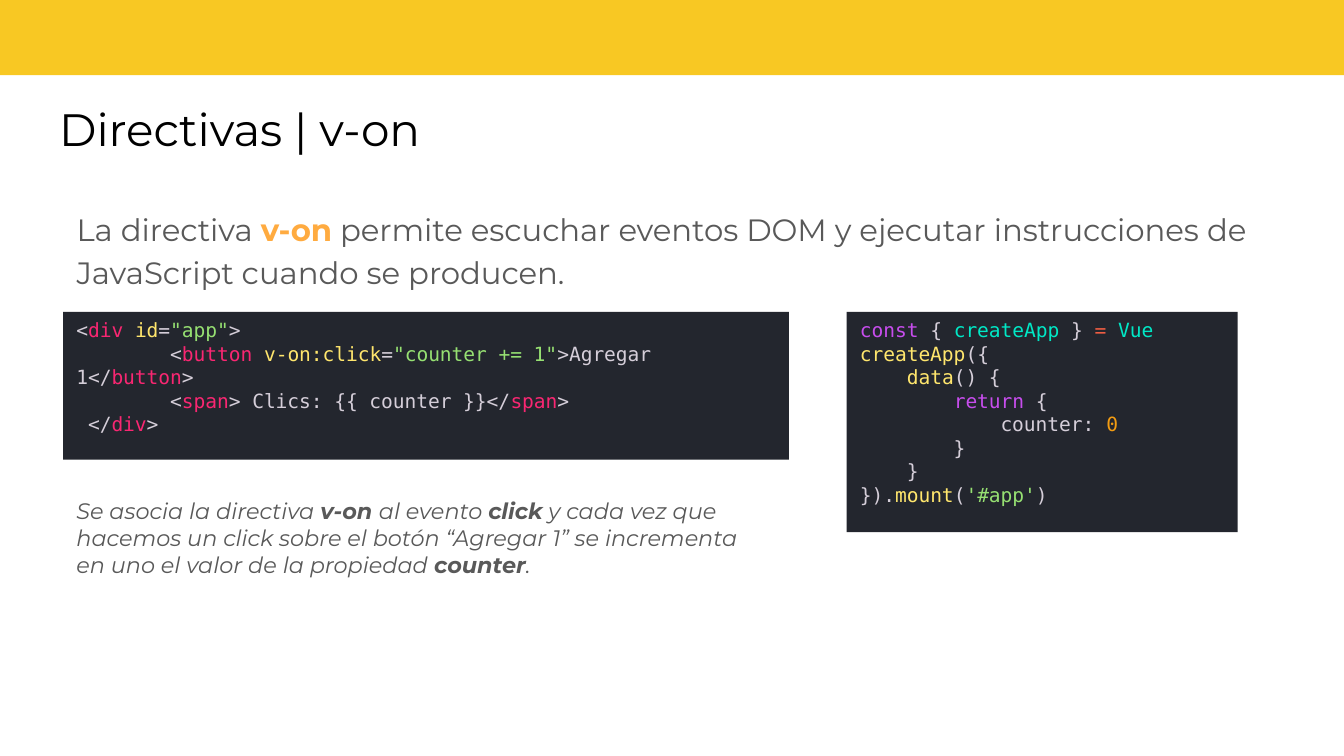
from lxml.etree import SubElement
from pptx import Presentation
from pptx.dml.color import RGBColor
from pptx.enum.shapes import MSO_SHAPE as Shape
from pptx.enum.text import MSO_ANCHOR as Anchor, MSO_AUTO_SIZE as AutoSize, PP_ALIGN as Align
from pptx.oxml.ns import qn
from pptx.util import Inches, Pt

# Colours
YELLOW, BLACK, GREY, ORANGE = "F8C823", "000000", "595959", "FFAB40"
PANEL, PLAIN = "23262E", "D5CED9"
TAG, NAME, STRING = "F92672", "FFE66D", "96E072"
KEYWORD, IDENTIFIER, OPERATOR, NUMBER = "C74DED", "00E8C6", "EE5D43", "F39C12"

# Content: each line is a list of (text, accent colour, bold)
TITLE = [("Directivas | v-on", None, False)]
INTRO = [
    ("La directiva ", None, False),
    ("v-on", ORANGE, True),
    (" permite escuchar eventos DOM y ejecutar instrucciones de "
     "JavaScript cuando se producen.", None, False),
]
NOTE = [
    ("Se asocia la directiva ", None, False),
    ("v-on ", None, True),
    ("al evento ", None, False),
    ("click", None, True),
    (" y cada vez que hacemos un click sobre el botón “Agregar 1” "
     "se incrementa en uno el valor de la propiedad ", None, False),
    ("counter", None, True),
    (".", None, False),
]

# Code: each line is a list of (text, colour)
HTML_CODE = [
    [("<", None), ("div", TAG), (" ", None), ("id", NAME), ("=", None),
     ('"app"', STRING), (">", None)],
    [("        <", None), ("button", TAG), (" ", None), ("v-on:click", NAME), ("=", None),
     ('"counter += 1"', STRING), (">Agregar 1</", None), ("button", TAG), (">", None)],
    [("        <", None), ("span", TAG), ("> Clics: {{ counter }}</", None),
     ("span", TAG), (">", None)],
    [(" </", None), ("div", TAG), (">", None)],
]
JS_CODE = [
    [("const", KEYWORD), (" { ", None), ("createApp", IDENTIFIER), (" } ", None),
     ("=", OPERATOR), (" ", None), ("Vue", IDENTIFIER)],
    [("createApp", NAME), ("({", None)],
    [("    ", None), ("data", NAME), ("() {", None)],
    [("        ", None), ("return", KEYWORD), (" {", None)],
    [("            counter: ", None), ("0", NUMBER)],
    [("        }", None)],
    [("    }", None)],
    [("}).", None), ("mount", NAME), ("(", None), ("'#app'", STRING), (")", None)],
]
LEFT, CODE_TOP = 0.47, 2.32
PANELS = [
    (JS_CODE, (6.3, CODE_TOP, 2.91, 1.64)),
    (HTML_CODE, (LEFT, CODE_TOP, 5.4, 1.1)),
]


def color(value):
    return RGBColor.from_string(value)


def place(shape, left, top, width, height):
    shape.left, shape.top = Inches(left), Inches(top)
    shape.width, shape.height = Inches(width), Inches(height)


def set_frame(frame, margin_y=0.1):
    frame.word_wrap = True
    frame.auto_size = AutoSize.NONE
    frame.vertical_anchor = Anchor.TOP
    frame.margin_left = frame.margin_right = Inches(0.1)
    frame.margin_top = frame.margin_bottom = Inches(margin_y)


def write(para, spans, size, base, font="Montserrat", italic=False):
    para.alignment = Align.LEFT
    para.space_before = Pt(0)
    para.font.name, para.font.size = font, Pt(size)
    para.font.italic = italic
    para.font.color.rgb = color(base)
    for text, accent, bold in spans:
        span = para.add_run()
        span.text = text
        if accent:
            span.font.color.rgb = color(accent)
        if bold:
            span.font.bold = True


def add_panel(page, fill, at):
    panel = page.shapes.add_shape(Shape.RECTANGLE, *map(Inches, at))
    panel.shadow.inherit = False
    panel.fill.solid()
    panel.fill.fore_color.rgb = color(fill)
    panel.line.fill.background()
    return panel


# Widescreen page, 16:9
deck = Presentation()
deck.slide_width = Inches(10)
deck.slide_height = deck.slide_width * 9 // 16
page = deck.slides.add_slide(deck.slide_layouts[1])

# Top band
add_panel(page, YELLOW, (-0.01, -0.05, 10.03, 0.61))

# Title
title = page.shapes.title
place(title, 0.34, 0.65, 9.3, 0.63)
set_frame(title.text_frame)
write(title.text_frame.paragraphs[0], TITLE, 24.3, BLACK)

# Introduction, without bullet
body = page.placeholders[1]
place(body, LEFT, 1.43, 9.17, 3.63)
set_frame(body.text_frame)
intro = body.text_frame.paragraphs[0]
intro.line_spacing = 1.15
properties = intro._p.get_or_add_pPr()
properties.set("marL", "0")
properties.set("indent", "0")
SubElement(properties, qn("a:buNone"))
write(intro, INTRO, 16.5, GREY)

# Explanation under the HTML code
note = page.shapes.add_textbox(*map(Inches, (LEFT, 3.6, 5.35, 0.81)))
set_frame(note.text_frame)
write(note.text_frame.paragraphs[0], NOTE, 12, GREY, italic=True)

# Code panels
for lines, at in PANELS:
    frame = add_panel(page, PANEL, at).text_frame
    set_frame(frame, margin_y=0.05)
    for index, line in enumerate(lines):
        para = frame.add_paragraph() if index else frame.paragraphs[0]
        spans = [(text, accent, False) for text, accent in line]
        write(para, spans, 10.5, PLAIN, font="DejaVu Sans Mono")

deck.save("out.pptx")
